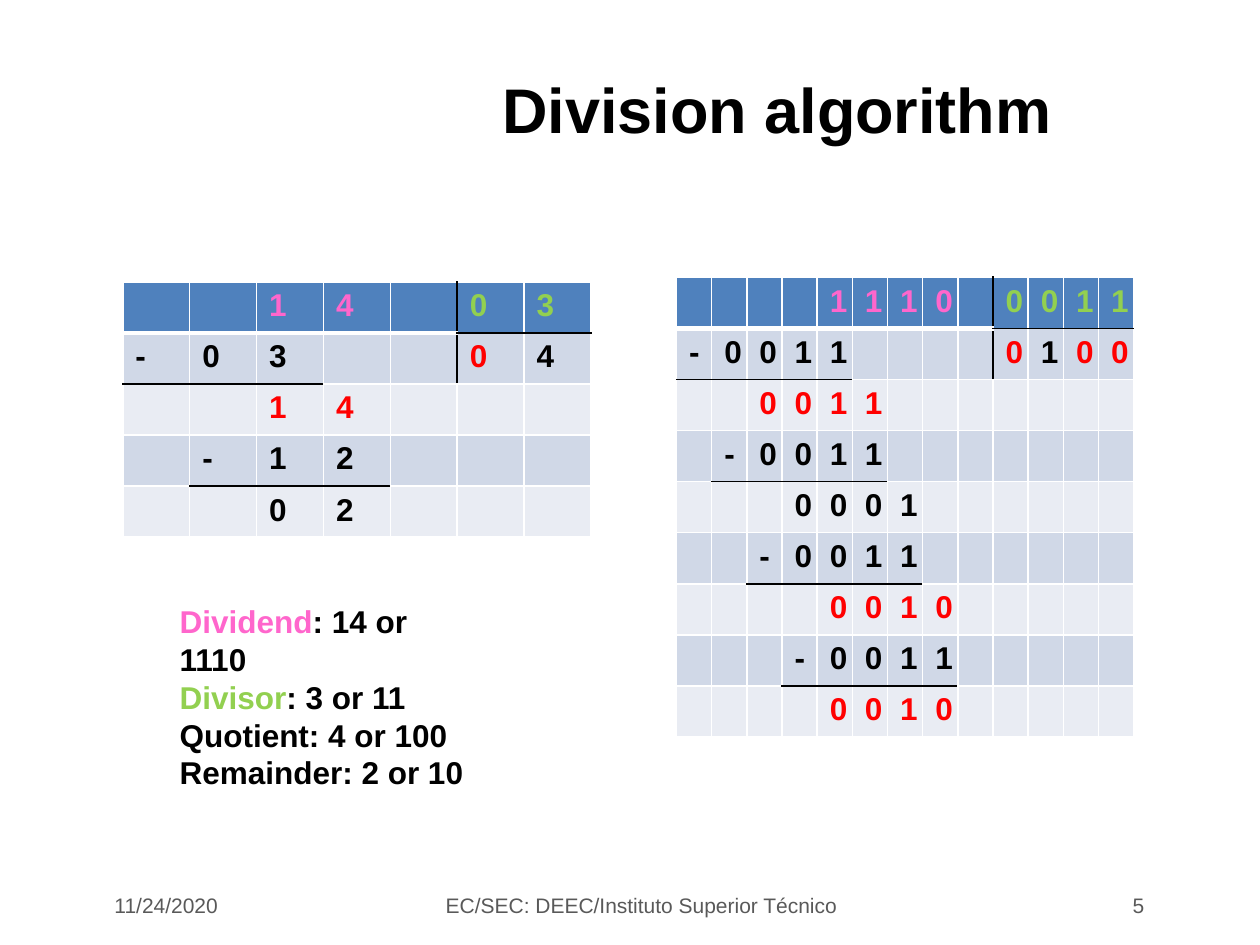
from dataclasses import dataclass
from pptx import Presentation
from pptx.dml.color import RGBColor
from pptx.enum.text import MSO_ANCHOR as Anchor, MSO_AUTO_SIZE as AutoSize, PP_ALIGN as Align
from pptx.oxml.ns import qn
from pptx.util import Pt
from lxml.etree import SubElement


@dataclass(frozen=True)
class Theme:
    """Colours, font and type sizes of the slide."""
    font: str = "Arial"
    title_size: int = 36
    body_size: int = 18
    footer_size: int = 12
    ink: str = "000000"
    grey: str = "595959"
    paper: str = "FFFFFF"
    dividend: str = "FF66CC"
    divisor: str = "92D050"
    result: str = "FF0000"
    header: str = "4F81BD"
    band_dark: str = "D0D8E7"
    band_light: str = "E9ECF3"
    thin: float = 0.96
    thick: float = 3


THEME = Theme()

DECIMAL_STEPS = [
    (0, 2, "14", THEME.dividend), (0, 5, "03", THEME.divisor),
    (1, 0, "-03", THEME.ink), (1, 5, "0", THEME.result), (1, 6, "4", THEME.ink),
    (2, 2, "14", THEME.result), (3, 1, "-12", THEME.ink), (4, 2, "02", THEME.ink),
]
BINARY_STEPS = [
    (0, 4, "1110", THEME.dividend), (0, 9, "0011", THEME.divisor),
    (1, 0, "-0011", THEME.ink), (1, 9, "0", THEME.result),
    (1, 10, "1", THEME.ink), (1, 11, "00", THEME.result),
    (2, 2, "0011", THEME.result), (3, 1, "-0011", THEME.ink),
    (4, 3, "0001", THEME.ink), (5, 2, "-0011", THEME.ink),
    (6, 4, "0010", THEME.result), (7, 3, "-0011", THEME.ink),
    (8, 4, "0010", THEME.result),
]
SUMMARY = [
    ("Dividend", ": 14 or 1110", THEME.dividend),
    ("Divisor", ": 3 or 11", THEME.divisor),
    ("Quotient", ": 4 or 100", THEME.ink),
    ("Remainder", ": 2 or 10", THEME.ink),
]


def style_font(font, size, color, bold=False):
    """Apply the theme font with a size, colour and weight."""
    font.name = THEME.font
    font.size = Pt(size)
    font.bold = bold
    font.color.rgb = RGBColor.from_string(color)


def add_label(slide, box, text, size, color, bold=False, align=Align.LEFT):
    """Place one vertically centred line of text in a box."""
    frame = slide.shapes.add_textbox(*map(Pt, box)).text_frame
    frame.word_wrap = True
    frame.vertical_anchor = Anchor.MIDDLE
    paragraph = frame.paragraphs[0]
    paragraph.text = text
    paragraph.alignment = align
    style_font(paragraph.font, size, color, bold)


def add_border(cell, side, color, width):
    """Draw one side of a cell, named L, R, T or B."""
    line = SubElement(cell._tc.get_or_add_tcPr(), qn(f"a:ln{side}"), w=str(Pt(width)))
    fill = SubElement(line, qn("a:solidFill"))
    SubElement(fill, qn("a:srgbClr"), val=color)


def add_division(slide, box, row_count, column_count, divisor_column, steps):
    """Lay out a long division, ruled under each subtraction and around the divisor."""
    table = slide.shapes.add_table(row_count, column_count, *map(Pt, box)).table
    for column in table.columns:
        column.width = Pt(box[2] / column_count)
    for row in table.rows:
        row.height = Pt(box[3] / row_count)

    digits = {(row, start + i): (digit, color)
              for row, start, text, color in steps for i, digit in enumerate(text)}
    rules = {(row + 1, start + i) for row, start, text, _ in steps
             if text.startswith("-") for i in range(len(text))}
    rules |= {(1, column) for column in range(divisor_column, column_count)}
    bars = {(row, divisor_column) for row in range(2)}

    for row in range(row_count):
        for column in range(column_count):
            cell = table.cell(row, column)
            edges = {"L": (row, column) in bars, "R": (row, column + 1) in bars,
                     "T": (row, column) in rules, "B": (row + 1, column) in rules}
            for side, ruled in edges.items():
                heavy = row == 0 and side == "B" and not ruled
                add_border(cell, side, THEME.ink if ruled else THEME.paper,
                           THEME.thick if heavy else THEME.thin)
            band = THEME.band_dark if row % 2 else THEME.band_light
            cell.fill.solid()
            cell.fill.fore_color.rgb = RGBColor.from_string(band if row else THEME.header)
            digit, color = digits.get((row, column), ("", THEME.ink))
            paragraph = cell.text_frame.paragraphs[0]
            paragraph.text = digit
            style_font(paragraph.font, THEME.body_size, color, True)


def add_summary(slide, box):
    """List the terms of the division, each name in its own colour."""
    frame = slide.shapes.add_textbox(*map(Pt, box)).text_frame
    frame.word_wrap = False
    frame.auto_size = AutoSize.SHAPE_TO_FIT_TEXT
    for index, (name, value, color) in enumerate(SUMMARY):
        paragraph = frame.add_paragraph() if index else frame.paragraphs[0]
        parts = [(name + value, color)] if color == THEME.ink else [(name, color), (value, THEME.ink)]
        for text, part_color in parts:
            run = paragraph.add_run()
            run.text = text
            style_font(run.font, THEME.body_size, part_color, True)


def add_footer(slide, box):
    """Place the date, course and slide number along the foot."""
    left, top, width, height = box
    labels = [(0, 145.4, "11/24/2020", Align.LEFT),
              (188, 244, "EC/SEC: DEEC/Instituto Superior Técnico ", Align.CENTER),
              (width - 144, 144, "5", Align.RIGHT)]
    for offset, label_width, text, align in labels:
        add_label(slide, (left + offset, top, label_width, height), text,
                  THEME.footer_size, THEME.grey, align=align)


def main():
    """Build and save the slide."""
    presentation = Presentation()
    presentation.slide_width, presentation.slide_height = Pt(720), Pt(540)
    slide = presentation.slides.add_slide(presentation.slide_layouts[6])
    add_label(slide, (280, 27.4, 602.6, 68.4), "Division algorithm",
              THEME.title_size, THEME.ink, True)
    add_division(slide, (386.6, 158.4, 261.3, 262.8), 9, 13, 9, BINARY_STEPS)
    add_footer(slide, (58.3, 504.7, 602.7, 24.5))
    add_division(slide, (70.2, 161, 267.6, 146), 5, 7, 5, DECIMAL_STEPS)
    add_summary(slide, (95.6, 340.6, 187.2, 93.6))
    presentation.save("out.pptx")


if __name__ == "__main__":
    main()
